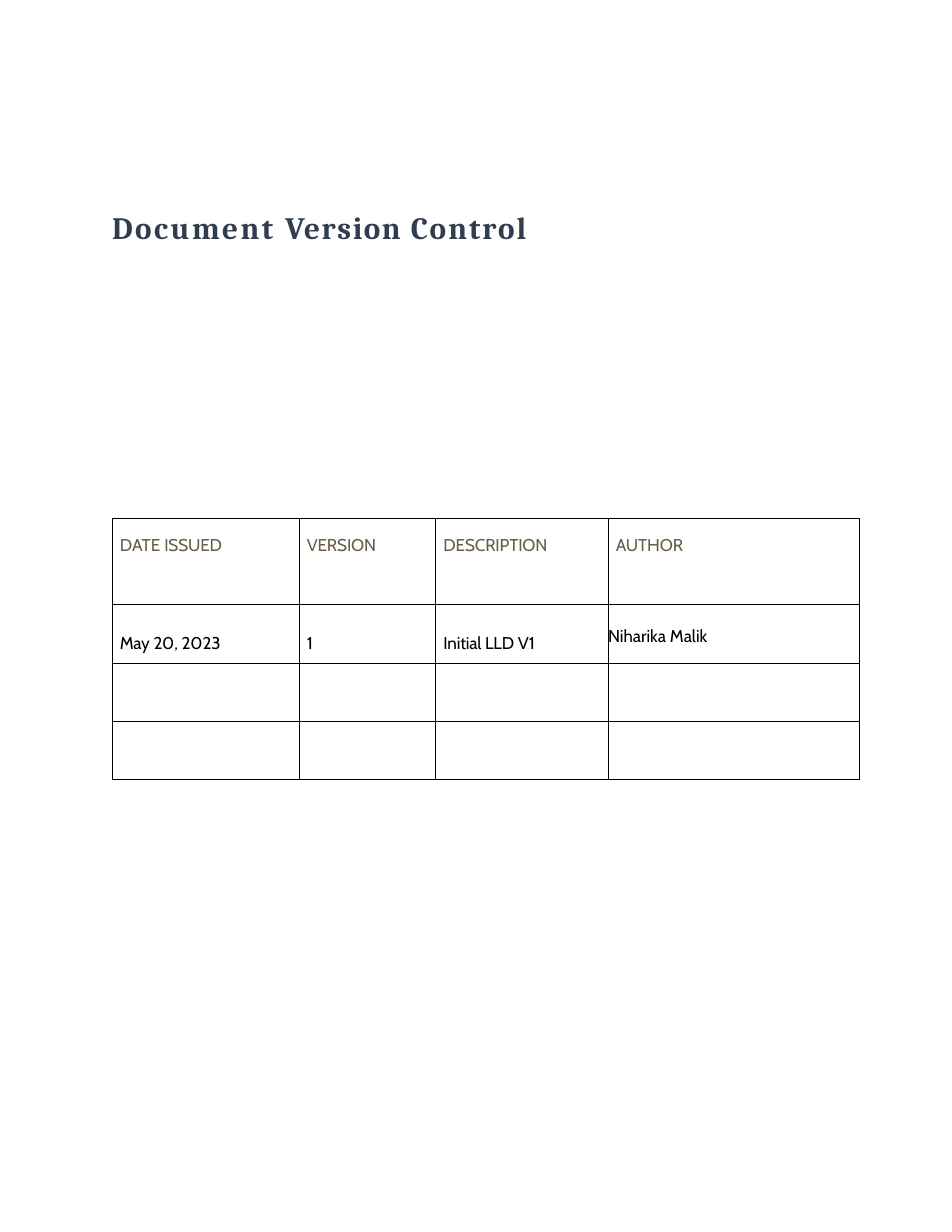
import dataclasses

import lxml.etree
import pptx
import pptx.dml.color
import pptx.enum.text
import pptx.oxml.ns
import pptx.util

Inches = pptx.util.Inches
Pt = pptx.util.Pt

NAVY = "313D4F"
BROWN = "695D46"
BLACK = "000000"

# Each text is a list of (wording, letter spacing in points).
SpacedText = list[tuple[str, float]]


@dataclasses.dataclass
class CellText:
    wordings: SpacedText
    color: str
    top: float
    left: float = 0.07


def rgb(color: str) -> pptx.dml.color.RGBColor:
    return pptx.dml.color.RGBColor.from_string(color)


def write_text(frame, wordings: SpacedText, *, font: str, size: float, color: str,
               bold: bool = False, left: float = 0, top: float = 0, space_before: float = 0) -> None:
    paragraph = frame.paragraphs[0]
    paragraph.alignment = pptx.enum.text.PP_ALIGN.LEFT
    paragraph.space_before = Pt(space_before)
    frame.margin_left, frame.margin_top = Inches(left), Inches(top)
    frame.margin_right = frame.margin_bottom = 0
    for wording, spacing in wordings:
        run = paragraph.add_run()
        run.text = wording
        run.font.name = font
        run.font.size = Pt(size)
        run.font.bold = bold
        run.font.color.rgb = rgb(color)
        if spacing:
            run._r.get_or_add_rPr().set("spc", str(round(spacing * 100)))


def set_borders(cell, color: str, width: float) -> None:
    properties = cell._tc.get_or_add_tcPr()
    qn = pptx.oxml.ns.qn
    for index, side in enumerate(("lnL", "lnR", "lnT", "lnB")):
        line = lxml.etree.Element(qn(f"a:{side}"), w=str(Pt(width)))
        fill = lxml.etree.SubElement(line, qn("a:solidFill"))
        lxml.etree.SubElement(fill, qn("a:srgbClr"), val=color)
        properties.insert(index, line)


def add_title(slide) -> None:
    title = slide.shapes.title
    title.left, title.top = Inches(0.99), Inches(1.85)
    title.width, title.height = Inches(3.89), Inches(0.36)
    frame = title.text_frame
    frame.word_wrap = True
    frame.auto_size = pptx.enum.text.MSO_AUTO_SIZE.NONE
    frame.vertical_anchor = pptx.enum.text.MSO_ANCHOR.TOP
    write_text(frame, [("Document ", 1.6), ("Version ", 1), ("Control", 1.3)],
               font="Cambria", size=20, color=NAVY, bold=True,
               left=0.01, top=0.01, space_before=1)


def add_version_table(slide, rows: list[list[CellText]], widths: list[float],
                      heights: list[float]) -> None:
    table = slide.shapes.add_table(
        len(heights), len(widths), Inches(1), Inches(4.63),
        Inches(sum(widths)), Inches(sum(heights))).table
    table.first_row = table.horz_banding = False
    for column, width in zip(table.columns, widths):
        column.width = Inches(width)
    for row, height in zip(table.rows, heights):
        row.height = Inches(height)
    for cell in table.iter_cells():
        cell.fill.background()
        set_borders(cell, BLACK, 0.5)
    for row, texts in zip(table.rows, rows):
        for cell, text in zip(row.cells, texts):
            # Table cells keep their margins on the cell, not on the text frame.
            write_cell(cell, text)


def write_cell(cell, text: CellText) -> None:
    write_text(cell.text_frame, text.wordings, font="Cabin", size=11, color=text.color)
    body_properties = cell.text_frame._txBody.bodyPr
    for name in list(body_properties.attrib):
        del body_properties.attrib[name]
    cell.margin_left, cell.margin_top = Inches(text.left), Inches(text.top)
    cell.margin_right = cell.margin_bottom = 0


def main() -> None:
    presentation = pptx.Presentation()
    presentation.slide_width, presentation.slide_height = Inches(8.5), Inches(11)
    slide = presentation.slides.add_slide(presentation.slide_layouts.get_by_name("Title Only"))
    add_title(slide)

    headings = [[("DATE ", 0), ("ISSUED", -0.1)], [("VERSION", -0.1)],
                [("DESCRIPTION", -0.1)], [("AUTHOR", -0.1)]]
    entries = [[("May ", -0.1), ("20", -0.2), (", 2023", -0.1)], [("1", 0)],
               [("Initial LLD V1", -0.1)]]
    header_row = [CellText(wordings, BROWN, top=0.15) for wordings in headings]
    entry_row = [CellText(wordings, BLACK, top=0.25) for wordings in entries]
    entry_row.append(CellText([("Niharika Malik", 0)], BLACK, top=0.19, left=0))
    add_version_table(slide, [header_row, entry_row],
                      widths=[1.67, 1.22, 1.54, 2.24], heights=[0.77, 0.52, 0.52, 0.52])
    presentation.save("out.pptx")


if __name__ == "__main__":
    main()
